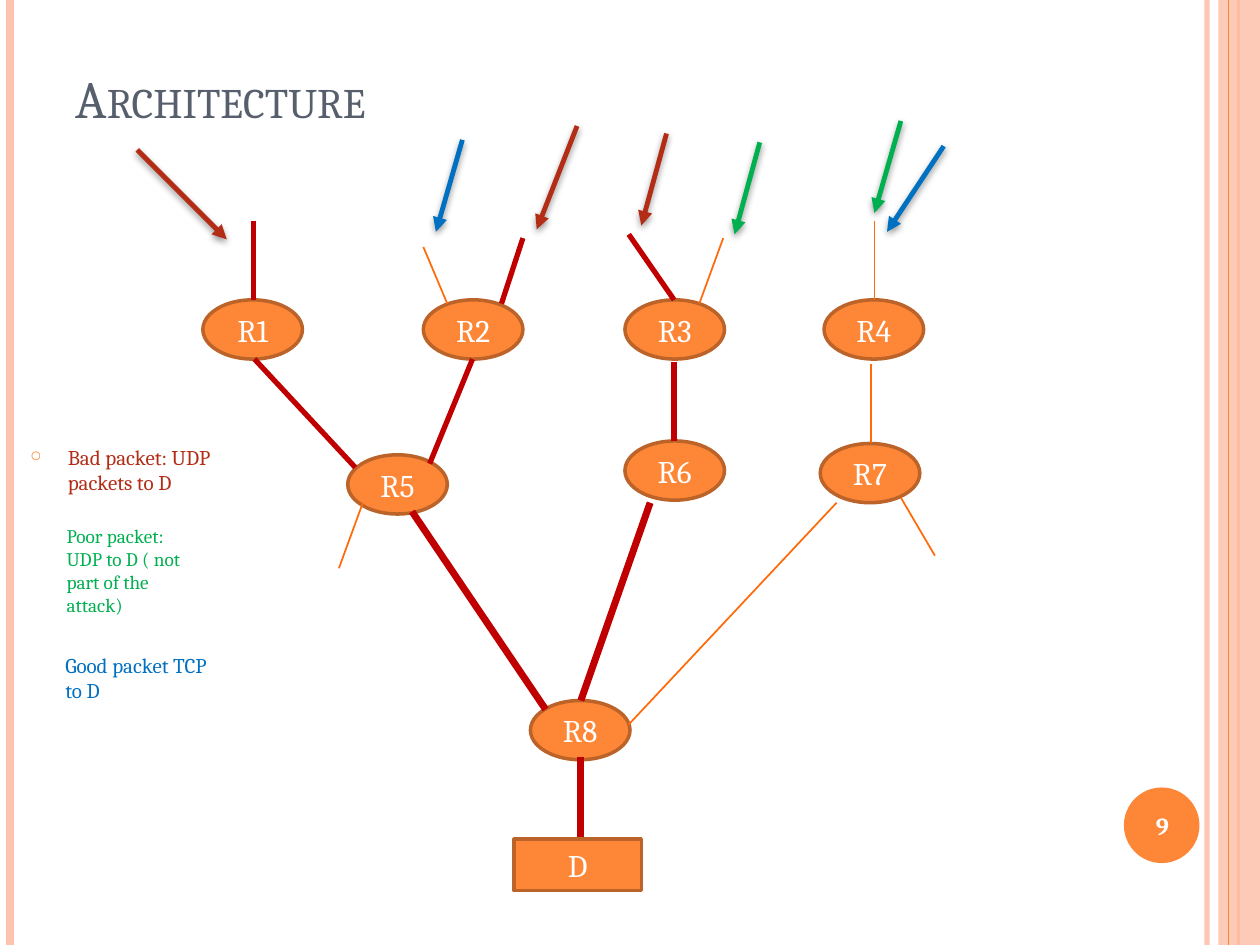
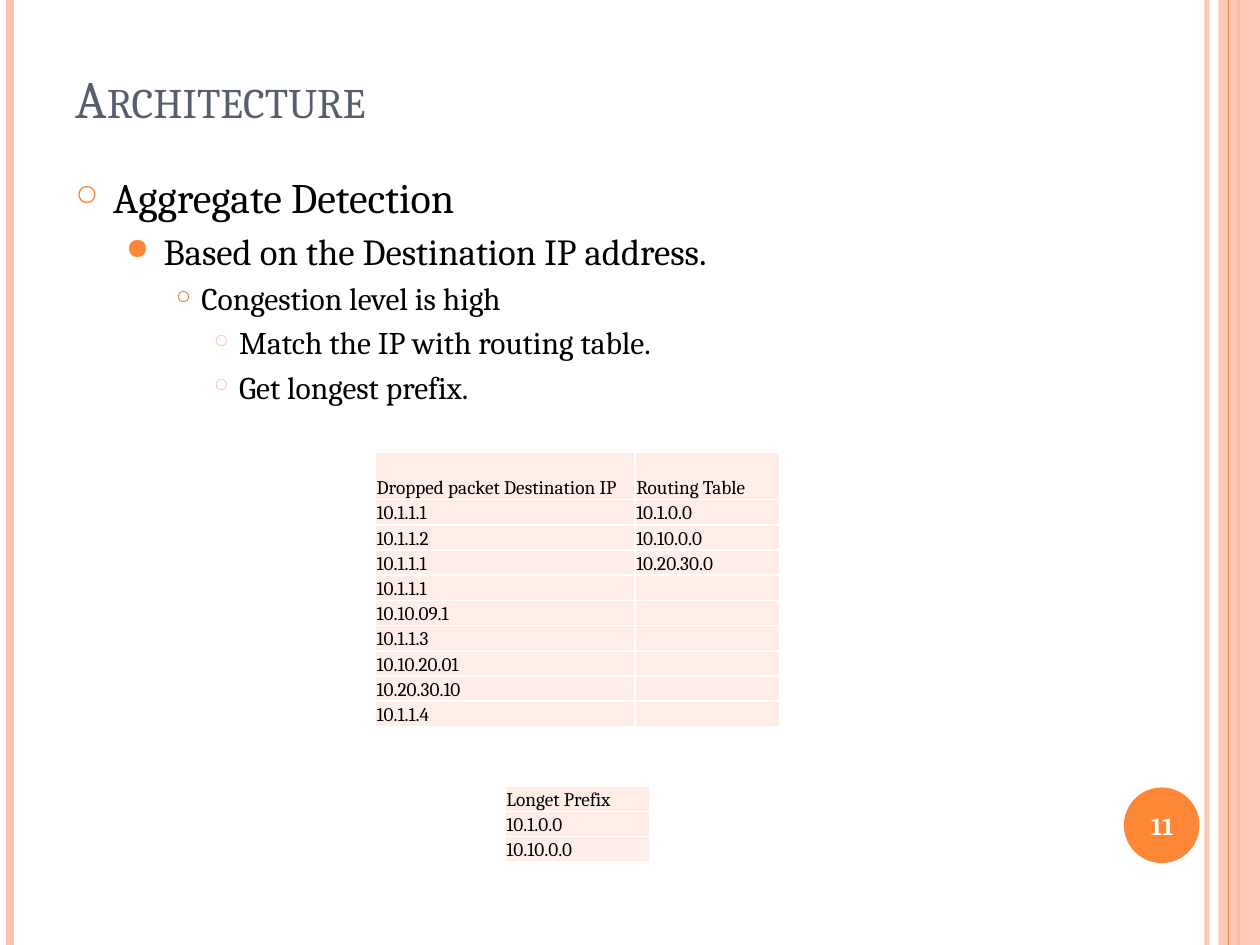
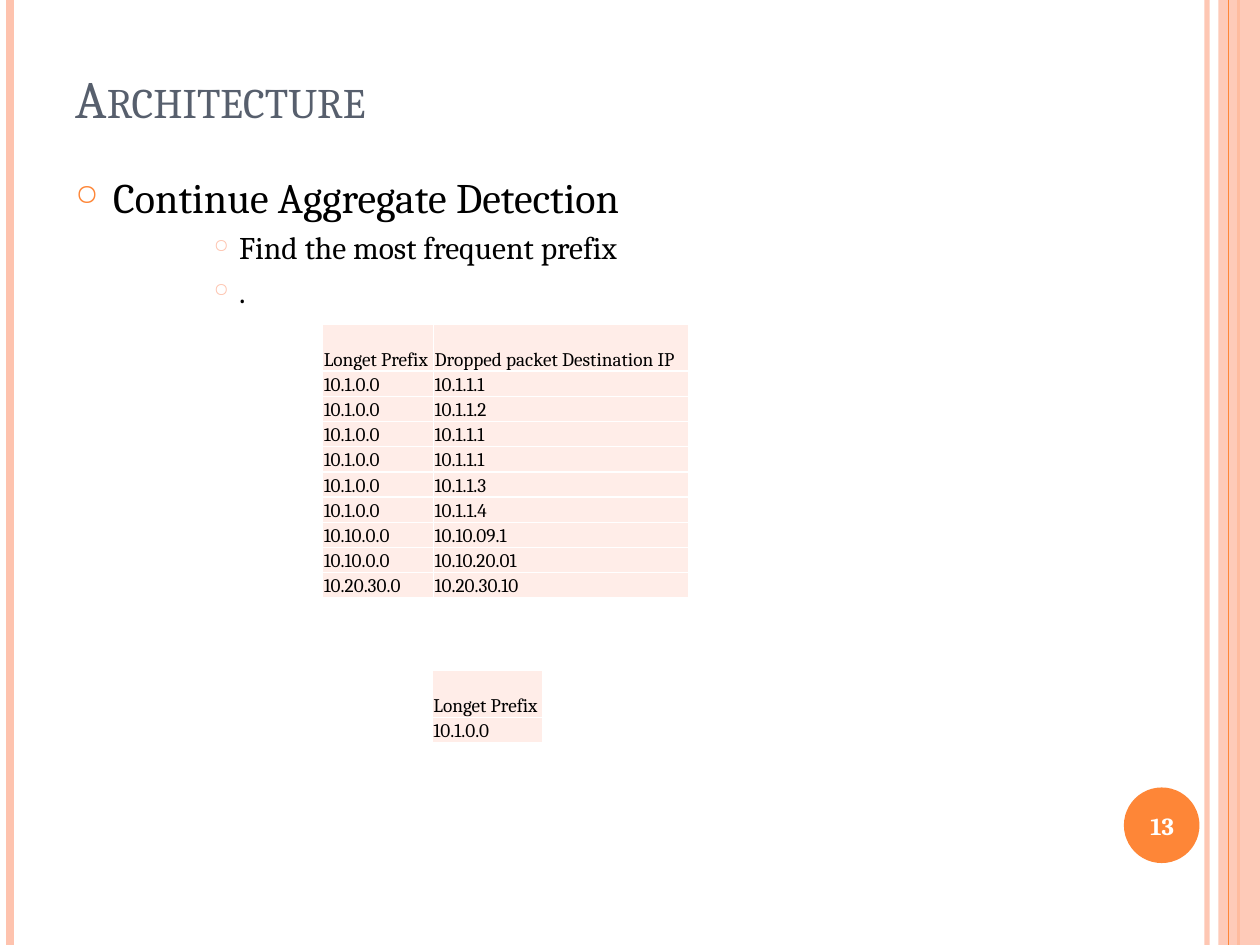
import lxml.etree
import pptx
import pptx.dml.color
import pptx.enum.shapes
import pptx.enum.text
import pptx.oxml.ns
import pptx.util

presentation = pptx.Presentation()
presentation.slide_width = pptx.util.Inches(10)
presentation.slide_height = pptx.util.Inches(7.5)
column = presentation.slide_width / 100
row = presentation.slide_height / 75

qualified = pptx.oxml.ns.qn
element = lxml.etree.SubElement
shapes = pptx.enum.shapes.MSO_SHAPE
anchors = pptx.enum.text.MSO_ANCHOR
center = pptx.enum.text.PP_ALIGN.CENTER

FONT = "Cambria"
ORANGE = "FE8637"
PEACH = "FEC3AE"
BROWN = "BC6329"
CELL = "FFEDE8"
WHITE = "FFFFFF"
BLACK = "000000"
SLATE = "575F6D"
BAD = "B32C16"
POOR = "00B050"
GOOD = "0070C0"
HEAVY = "C00000"
LIGHT = "FF6B0A"


def rgb(code):
    return pptx.dml.color.RGBColor.from_string(code)


def add_text(frame, text, size=18, color=BLACK, bold=False, small=False,
             align=None, before=0, bullet=None):
    paragraph = frame.paragraphs[0]
    if paragraph.runs:
        paragraph = frame.add_paragraph()
    paragraph.alignment = align
    paragraph.space_before = pptx.util.Pt(before)
    if bullet:
        character, tint, percent, indent, hanging = bullet
        properties = paragraph._p.get_or_add_pPr()
        properties.set("marL", str(int(indent * column)))
        properties.set("indent", str(int(-hanging * column)))
        element(element(properties, qualified("a:buClr")), qualified("a:srgbClr"), val=str(rgb(tint)))
        element(properties, qualified("a:buSzPct"), val=str(percent * 1000))
        element(properties, qualified("a:buChar"), char=character)
    if not text:
        element(paragraph._p, qualified("a:endParaRPr"), sz=str(size * 100))
        return
    run = paragraph.add_run()
    run.text = text
    run.font.name = FONT
    run.font.size = pptx.util.Pt(size)
    run.font.bold = bold
    run.font.color.rgb = rgb(color)
    if small:
        run._r.get_or_add_rPr().set("cap", "small")


frame_items = [
    ("line", (95.8, 0, 95.8, 75), dict(color=PEACH, width=3, alpha=93)),
    ("line", (0.8, 0, 0.8, 75), dict(color=PEACH, width=4.5)),
    ("line", (98.3, 0, 98.3, 75), dict(color=ORANGE, width=1.5)),
    ("shape", (96.7, 0, 3.3, 75), dict(form=shapes.RECTANGLE, fill=PEACH, alpha=87)),
    ("line", (97.5, 0, 97.5, 75), dict(color=ORANGE, width=0.75)),
    ("shape", (89.2, 62.5, 6, 6), dict(form=shapes.OVAL, fill=ORANGE)),
    ("text", (5, 3, 81.7, 7.7), dict(
        anchor=anchors.BOTTOM,
        paragraphs=[("Architecture", dict(size=30, color=SLATE, small=True))])),
]

levels = [
    dict(size=24, before=6, bullet=("○", ORANGE, 70, 3, 3)),
    dict(size=21, before=4.2, bullet=("●", ORANGE, 80, 7, 3)),
    dict(size=18, before=3.6, bullet=("○", "E07631", 60, 10, 2)),
    dict(size=18, before=3.6, bullet=("○", PEACH, 60, 13, 2)),
]

routers = {
    "R1": (16.1, 23.8), "R2": (33.6, 23.8), "R3": (49.6, 23.8), "R4": (65.4, 23.8),
    "R5": (27.6, 36.1), "R6": (49.6, 35), "R7": (65.1, 35.2), "R8": (42.1, 55.6),
}
links = [
    (HEAVY, 3, [
        (20.1, 17.5, 20.1, 23.8), (41.5, 18.9, 39.8, 24.1), (49.9, 18.6, 53.5, 23.8),
        (20.2, 28.5, 28.2, 37.1), (53.5, 28.7, 53.5, 35), (37.5, 28.5, 34.1, 36.8)]),
    (HEAVY, 4, [
        (51.6, 39.9, 46.1, 55.6), (32.7, 40.6, 43.3, 56.3), (46.1, 60.1, 46.1, 66.4)]),
    (LIGHT, 1, [
        (69.4, 17.5, 69.4, 23.8), (69.1, 28.9, 69.1, 35.2), (66.4, 39.9, 49.9, 57.5),
        (57.4, 18.9, 55.5, 24.1), (33.6, 19.6, 35.5, 24.1), (28.8, 39.9, 26.9, 45.1),
        (71.5, 39.5, 74.2, 44.1)]),
]
packets = [
    (BAD, [(10.9, 11.9, 18, 19), (45.8, 10, 42.6, 18.2), (52.9, 10.6, 50.9, 17.9)]),
    (GOOD, [(74.9, 11.6, 70.4, 18.4), (36.7, 11.1, 34.6, 18.4)]),
    (POOR, [(60.3, 11.3, 58.3, 18.6), (71.5, 9.6, 69.4, 16.9)]),
]
legend = [
    ((1.4, 34.8, 20.7, 7.5), "Bad packet: UDP packets to D",
     {**levels[0], "size": 12, "color": BAD}),
    ((4.3, 41.1, 12.6, 8.4), "Poor packet: UDP to D ( not part of the attack)",
     dict(size=11, color=POOR)),
    ((4.2, 51.3, 14.3, 5), "Good packet TCP to D", dict(size=12, color=GOOD)),
]

network = [
    ("shape", (left, top, 7.9, 4.7),
     dict(form=shapes.OVAL, fill=ORANGE, outline=BROWN, label=name))
    for name, (left, top) in routers.items()]
network.append(("shape", (40.8, 66.6, 10.1, 4.1),
                dict(form=shapes.RECTANGLE, fill=ORANGE, outline=BROWN, label="D")))
network += [("line", place, dict(color=color, width=width))
            for color, width, places in links for place in places]
network += [("line", place, dict(color=color, width=2.75, arrow=True))
            for color, places in packets for place in places]
network += [("text", place, dict(paragraphs=[(text, style)])) for place, text, style in legend]

body_place = (5, 13.1, 81.7, 57.7)
detection = [
    ("text", body_place, dict(paragraphs=[
        ("Aggregate Detection", levels[0]),
        ("Based on the Destination IP address.", levels[1]),
        ("Congestion level is high", levels[2]),
        ("Match the IP with routing table.", levels[3]),
        ("Get longest prefix.", levels[3])])),
    ("table", (29.8, 35.9), dict(widths=[20.6, 11.5], header=3.75, cells=[
        ("Dropped packet Destination IP", "Routing Table"),
        ("10.1.1.1", "10.1.0.0"), ("10.1.1.2", "10.10.0.0"), ("10.1.1.1", "10.20.30.0"),
        ("10.1.1.1", ""), ("10.10.09.1", ""), ("10.1.1.3", ""), ("10.10.20.01", ""),
        ("10.20.30.10", ""), ("10.1.1.4", "")])),
    ("table", (40.1, 62.4), dict(widths=[11.5], header=2, cells=[
        ("Longet Prefix",), ("10.1.0.0",), ("10.10.0.0",)])),
]
matches = {
    "10.1.0.0": ["10.1.1.1", "10.1.1.2", "10.1.1.1", "10.1.1.1", "10.1.1.3", "10.1.1.4"],
    "10.10.0.0": ["10.10.09.1", "10.10.20.01"],
    "10.20.30.0": ["10.20.30.10"],
}
frequency = [
    ("text", body_place, dict(paragraphs=[
        ("Continue Aggregate Detection", levels[0]),
        ("Find the most frequent prefix", levels[3]),
        (".", levels[3])])),
    ("table", (34.3, 53.2), dict(widths=[8.8], header=3.75, cells=[
        ("Longet Prefix",), ("10.1.0.0",)])),
    ("table", (25.6, 25.7), dict(widths=[8.8, 20.3], header=3.75, cells=[
        ("Longet Prefix", "Dropped packet Destination IP"),
        *((prefix, address) for prefix, addresses in matches.items()
          for address in addresses)])),
]

for number, content in (("9", network), ("11", detection), ("13", frequency)):
    slide = presentation.slides.add_slide(presentation.slide_layouts[6])
    page_number = ("text", (88.9, 62.7, 6.7, 5.7), dict(
        anchor=anchors.MIDDLE,
        paragraphs=[(number, dict(size=14, color=WHITE, bold=True, align=center))]))
    for kind, place, options in frame_items + [page_number] + content:
        position = [int(length * unit) for length, unit in zip(place, (column, row) * 2)]
        if kind == "line":
            shape = slide.shapes.add_connector(
                pptx.enum.shapes.MSO_CONNECTOR.STRAIGHT, *position)
            shape.line.color.rgb = rgb(options["color"])
            shape.line.width = pptx.util.Pt(options["width"])
            outline = shape.line._get_or_add_ln()
            effects = element(shape._element.spPr, qualified("a:effectLst"))
            if options.get("arrow"):
                element(outline, qualified("a:tailEnd"), type="triangle")
                shadow = element(effects, qualified("a:outerShdw"),
                                 blurRad=str(pptx.util.Pt(4)), dist=str(pptx.util.Pt(1.6)),
                                 dir="5400000", rotWithShape="0")
                shade = element(shadow, qualified("a:srgbClr"), val=str(rgb(BLACK)))
                element(shade, qualified("a:alpha"), val="42000")
        elif kind == "shape":
            shape = slide.shapes.add_shape(options["form"], *position)
            shape.shadow.inherit = False
            shape.fill.solid()
            shape.fill.fore_color.rgb = rgb(options["fill"])
            if "outline" in options:
                shape.line.color.rgb = rgb(options["outline"])
                shape.line.width = pptx.util.Pt(2)
                shape.text_frame.vertical_anchor = anchors.MIDDLE
                add_text(shape.text_frame, options["label"], color=WHITE, align=center)
            else:
                shape.line.fill.background()
        elif kind == "text":
            frame = slide.shapes.add_textbox(*position).text_frame
            frame.word_wrap = True
            frame.vertical_anchor = options.get("anchor", anchors.TOP)
            for text, style in options["paragraphs"]:
                add_text(frame, text, **style)
        else:
            cells = options["cells"]
            widths = [int(width * column) for width in options["widths"]]
            heights = [int(options["header"] * row)] + [int(2 * row)] * (len(cells) - 1)
            table = slide.shapes.add_table(
                len(cells), len(widths), *position, sum(widths), sum(heights)).table
            table.first_row = False
            table.horz_banding = False
            for index, width in enumerate(widths):
                table.columns[index].width = width
            for index, height in enumerate(heights):
                table.rows[index].height = height
                for cell, text in zip(table.rows[index].cells, cells[index]):
                    cell.margin_left = cell.margin_right = cell.margin_top = int(0.1 * column)
                    cell.margin_bottom = 0
                    cell.vertical_anchor = anchors.BOTTOM
                    for side in ("lnL", "lnR", "lnT", "lnB"):
                        border = element(cell._tc.get_or_add_tcPr(), qualified("a:" + side),
                                         w=str(pptx.util.Pt(1)))
                        element(element(border, qualified("a:solidFill")),
                                qualified("a:srgbClr"), val=str(rgb(WHITE)))
                    cell.fill.solid()
                    cell.fill.fore_color.rgb = rgb(CELL)
                    add_text(cell.text_frame, text, size=11)
        if "alpha" in options:
            for tint in shape._element.spPr.iter(qualified("a:srgbClr")):
                element(tint, qualified("a:alpha"), val=str(options["alpha"] * 1000))

presentation.save("out.pptx")
